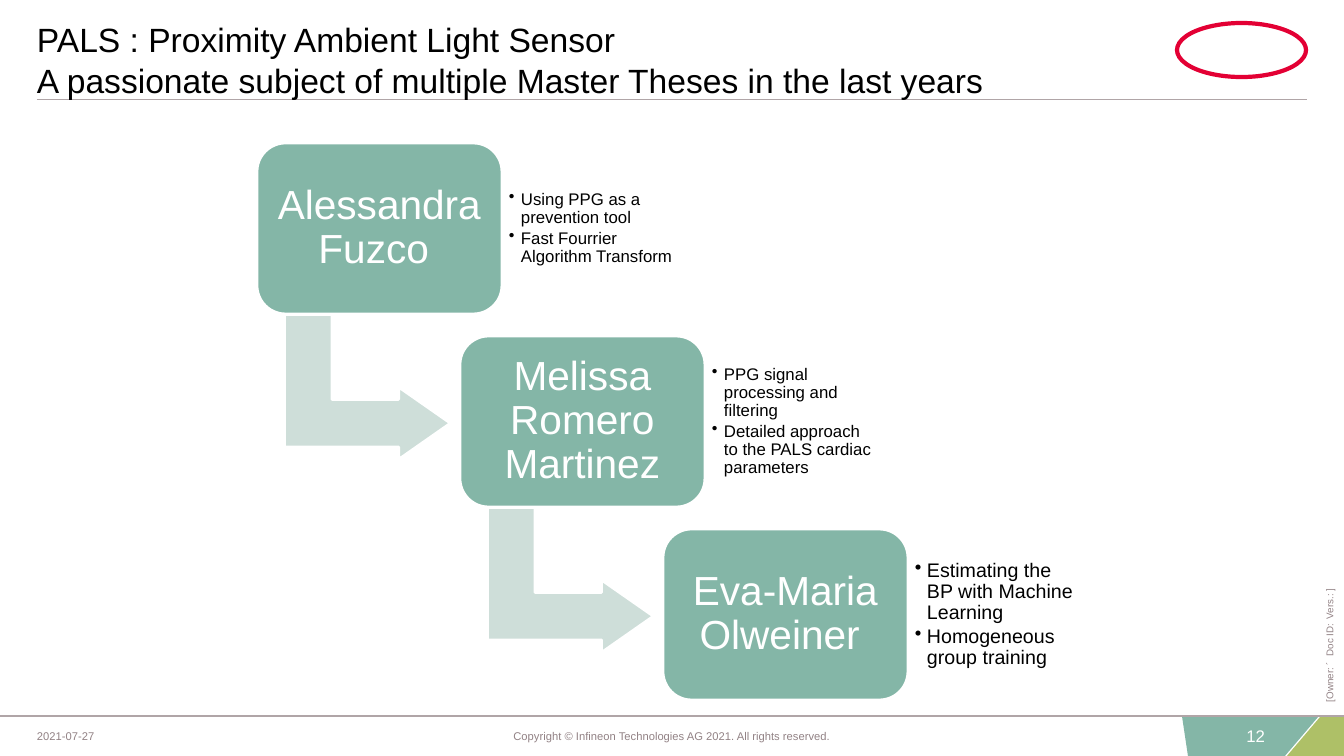
from dataclasses import dataclass
from lxml.etree import SubElement
from pptx import Presentation
from pptx.dml.color import RGBColor
from pptx.enum.shapes import MSO_CONNECTOR, MSO_SHAPE
from pptx.enum.text import MSO_ANCHOR, PP_ALIGN
from pptx.oxml.ns import qn
from pptx.util import Pt

PX = 914400 / 100.8


@dataclass(frozen=True)
class Theme:
    font: str = "Arial"
    teal: str = "84B6A7"
    pale: str = "CEDED9"
    lime: str = "AEC067"
    rule: str = "B0A5A7"
    muted: str = "928285"
    red: str = "E30034"
    black: str = "000000"
    white: str = "FFFFFF"
    title: int = 24
    name: int = 29
    number: int = 12
    footer: int = 8
    owner: int = 7


def px(*lengths):
    return [round(n * PX) for n in lengths]


def write(sp, lines, size, color, align=PP_ALIGN.LEFT, inset=0, anchor=MSO_ANCHOR.MIDDLE,
          bullet=False):
    """Fill a shape with paragraphs, one per line, and return its text frame."""
    tf = sp.text_frame
    tf.word_wrap = True
    tf.vertical_anchor = anchor
    tf.margin_left = tf.margin_top = tf.margin_right = tf.margin_bottom = round(inset * PX)
    for i, line in enumerate(lines):
        p = tf.paragraphs[0] if i == 0 else tf.add_paragraph()
        p.alignment = align
        if bullet:
            p.line_spacing = 0.9
            p.space_after = Pt(2)
            pPr = p._p.get_or_add_pPr()
            indent = round(12 * PX)
            pPr.set("marL", str(indent))
            pPr.set("indent", str(-indent))
            SubElement(pPr, qn("a:buChar"), char="•")
        r = p.add_run()
        r.text = line
        r.font.name = theme.font
        r.font.size = Pt(size)
        r.font.color.rgb = RGBColor.from_string(color)
    return tf


theme = Theme()
prs = Presentation()
prs.slide_width, prs.slide_height = px(1344, 756)
slide = prs.slides.add_slide(prs.slide_layouts[6])
shapes = slide.shapes

# Footer corner
corners = [
    (theme.lime, [(1321, 716), (1344, 716), (1344, 756), (1287, 756)]),
    (theme.teal, [(1182, 716), (1319, 716), (1285, 756), (1188, 756)]),
]
for color, points in corners:
    start, *rest = [px(*point) for point in points]
    builder = shapes.build_freeform(*start)
    builder.add_line_segments(rest)
    sp = builder.convert_to_shape()
    sp.shadow.inherit = False
    sp.fill.solid()
    sp.fill.fore_color.rgb = RGBColor.from_string(color)
    sp.line.fill.background()

# Rules under the title and above the footer
for left, right, y in [(0, 1344, 716), (37, 1307, 100)]:
    rule = shapes.add_connector(MSO_CONNECTOR.STRAIGHT, *px(left, y, right, y))
    rule.line.color.rgb = RGBColor.from_string(theme.rule)
    rule.line.width = Pt(0.75)
    SubElement(rule._element.spPr, qn("a:effectLst"))

# Logo placeholder
oval = shapes.add_shape(MSO_SHAPE.OVAL, *px(1177, 23, 129, 54))
oval.shadow.inherit = False
oval.fill.background()
oval.line.color.rgb = RGBColor.from_string(theme.red)
oval.line.width = Pt(3)

# Footer texts
footers = [
    (37, 80, "2021-07-27", theme.footer, theme.muted, PP_ALIGN.LEFT),
    (501, 342, "Copyright © Infineon Technologies AG 2021. All rights reserved.",
     theme.footer, theme.muted, PP_ALIGN.CENTER),
    (1223, 42, "12", theme.number, theme.white, PP_ALIGN.RIGHT),
]
for left, width, text, size, color, align in footers:
    write(shapes.add_textbox(*px(left, 716, width, 39)), [text], size, color, align)

owner = shapes.add_textbox(*px(1187, 546, 285, 27))
owner.rotation = 270
tf = write(owner, ["[Owner: ´\tDoc ID:\tVers.: ]"], theme.owner, theme.muted)
tabs = SubElement(tf.paragraphs[0]._p.get_or_add_pPr(), qn("a:tabLst"))
for stop in px(46, 83):
    SubElement(tabs, qn("a:tab"), pos=str(stop), algn="l")

# Staircase of theses
theses = [
    ("Alessandra Fuzco ", 12,
     ["Using PPG as a prevention tool", "Fast Fourrier Algorithm Transform"]),
    ("Melissa Romero Martinez", 12,
     ["PPG signal processing and filtering",
      "Detailed approach to the PALS cardiac parameters"]),
    ("Eva-Maria Olweiner ", 14,
     ["Estimating the BP with Machine Learning", "Homogeneous group training"]),
]
for step, (student, size, topics) in enumerate(theses):
    x, y = 257 + 203 * step, 143 + 193 * step
    parts = [(MSO_SHAPE.ROUNDED_RECTANGLE, (x, y, 245, 171), 0, theme.teal, [0.167])]
    if step < len(theses) - 1:
        parts.insert(0, (MSO_SHAPE.BENT_UP_ARROW, (x + 38, y + 161, 145, 166), 90,
                         theme.pale, [0.328, 0.25, 0.358]))
    for kind, box, rotation, color, adjustments in parts:
        sp = shapes.add_shape(kind, *px(*box))
        sp.rotation = rotation
        sp.shadow.inherit = False
        sp.fill.solid()
        sp.fill.fore_color.rgb = RGBColor.from_string(color)
        sp.line.color.rgb = RGBColor.from_string(theme.white)
        sp.line.width = Pt(2)
        for i, value in enumerate(adjustments):
            sp.adjustments[i] = value
    tf = write(sp, [student], theme.name, theme.white, PP_ALIGN.CENTER, inset=12)
    tf.paragraphs[0].line_spacing = 0.9
    write(shapes.add_textbox(*px(x + 245, y + 16, 178, 139)), topics, size, theme.black,
          inset=7, bullet=True)

# Title
title = shapes.add_textbox(*px(37, 21, 1059, 79))
write(title, ["PALS : Proximity Ambient Light Sensor",
              "A passionate subject of multiple Master Theses in the last years"],
      theme.title, theme.black, anchor=MSO_ANCHOR.BOTTOM)

prs.save("out.pptx")
